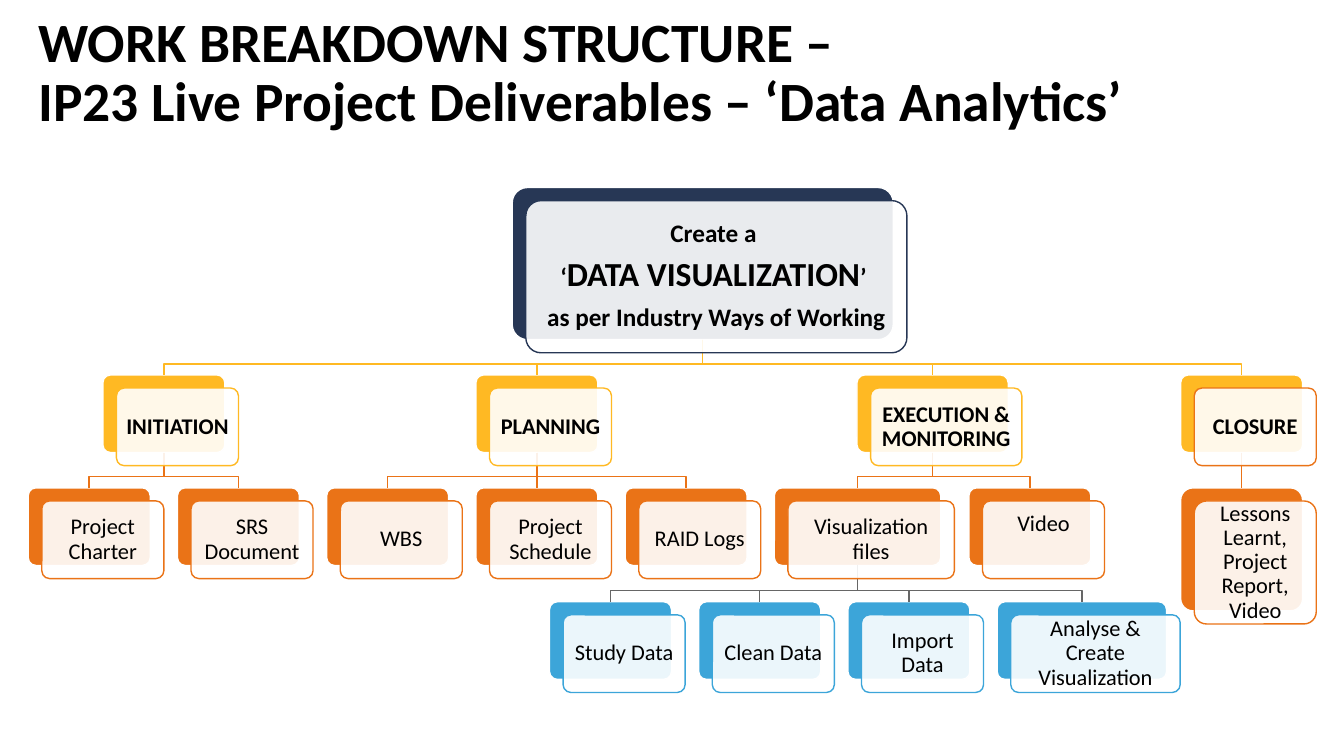
"""Build the work breakdown structure slide for the data analytics project."""
from dataclasses import dataclass

from lxml import etree
from pptx import Presentation
from pptx import util as u
from pptx.dml.color import RGBColor
from pptx.enum import shapes, text
from pptx.oxml import ns

NAVY = RGBColor(0x27, 0x37, 0x55)
AMBER = RGBColor(0xFF, 0xB9, 0x23)
ORANGE = RGBColor(0xEA, 0x73, 0x17)
SKY = RGBColor(0x3C, 0xA5, 0xD9)
GREY = RGBColor(0x66, 0x66, 0x66)
BLACK = RGBColor(0, 0, 0)
WHITE = RGBColor(0xFF, 0xFF, 0xFF)

FONT = "Calibri"
OFFSET_X, OFFSET_Y = 0.135, 0.13
BEND = 0.11


@dataclass(frozen=True)
class Run:
    text: str
    size: int = 16


@dataclass(frozen=True)
class Level:
    top: float
    height: float
    color: RGBColor
    link: RGBColor
    bold: bool


@dataclass(frozen=True)
class Card:
    level: Level
    left: float
    paragraphs: tuple[tuple[Run, ...], ...]
    width: float = 1.21
    height: float | None = None
    outline: RGBColor | None = None
    children: tuple["Card", ...] = ()

    @property
    def center(self) -> float:
        return self.left + self.width / 2

    @property
    def full_height(self) -> float:
        return self.height or self.level.height


GOAL = Level(1.86, 1.51, NAVY, NAVY, True)
PHASE = Level(3.72, 0.77, AMBER, AMBER, True)
DELIVERABLE = Level(4.84, 0.77, ORANGE, ORANGE, False)
TASK = Level(5.97, 0.77, SKY, GREY, False)


def label(words: str) -> tuple[tuple[Run, ...], ...]:
    return ((Run(words),),)


def row(level: Level, left: float, *names: str) -> tuple[Card, ...]:
    return tuple(Card(level, left + 1.48 * i, label(n)) for i, n in enumerate(names))


TASKS = row(TASK, 5.45, "Study Data", "Clean Data", "Import Data") + (
    Card(TASK, 9.89, label("Analyse & Create Visualization"), 1.68),
)
PHASES = (
    Card(PHASE, 1.02, label("INITIATION"),
         children=row(DELIVERABLE, 0.28, "Project Charter", "SRS Document")),
    Card(PHASE, 4.72, label("PLANNING"),
         children=row(DELIVERABLE, 3.24, "WBS", "Project Schedule", "RAID Logs")),
    Card(PHASE, 8.5, label("EXECUTION & MONITORING"), 1.5, children=(
        Card(DELIVERABLE, 7.68, label("Visualization files"), 1.65, children=TASKS),
        Card(DELIVERABLE, 9.61, label("Video\v")),
    )),
    Card(PHASE, 11.71, label("CLOSURE"), outline=ORANGE, children=(
        Card(DELIVERABLE, 11.71, label("Lessons Learnt, Project Report, Video"),
             height=1.22),
    )),
)
ROOT = Card(GOAL, 5.08, (
    (Run("Create a ", 18),),
    (Run("‘", 18), Run("DATA VISUALIZATION", 24), Run("’ ", 18)),
    (Run("as per Industry Ways of Working", 18),),
), 3.78, children=PHASES)


def walk(card: Card) -> list[Card]:
    return [card] + [c for child in card.children for c in walk(child)]


def style_font(font: text.MSO_ANCHOR, size: float, bold: bool) -> None:
    font.name, font.size, font.bold = FONT, u.Pt(size), bold
    font.color.rgb = BLACK


def add_panel(slide, card: Card, dx: float, dy: float, fill: RGBColor, line: RGBColor):
    sp = slide.shapes.add_shape(
        shapes.MSO_SHAPE.ROUNDED_RECTANGLE, u.Inches(card.left + dx),
        u.Inches(card.level.top + dy), u.Inches(card.width), u.Inches(card.full_height))
    sp.adjustments[0] = 0.1
    sp.shadow.inherit = False
    sp.fill.solid()
    sp.fill.fore_color.rgb = fill
    sp.line.color.rgb = line
    sp.line.width = u.Pt(1)
    return sp


def add_front(slide, card: Card) -> None:
    sp = add_panel(slide, card, OFFSET_X, OFFSET_Y, WHITE, card.outline or card.level.color)
    color = sp.fill._xPr.find(".//" + ns.qn("a:srgbClr"))
    etree.SubElement(color, ns.qn("a:alpha"), val="90000")
    tf = sp.text_frame
    tf.word_wrap = True
    tf.vertical_anchor = text.MSO_ANCHOR.MIDDLE
    tf.margin_left = tf.margin_right = tf.margin_top = tf.margin_bottom = u.Inches(0.07)
    for i, runs in enumerate(card.paragraphs):
        p = tf.add_paragraph() if i else tf.paragraphs[0]
        p.alignment = text.PP_ALIGN.CENTER
        p.line_spacing = 0.9
        p.space_after = u.Pt(0.35 * max(run.size for run in runs))
        if len(runs) == 1:
            p.text = runs[0].text
        else:
            for run in runs:
                p.add_run().text = run.text
        for r, run in zip(p.runs, runs):
            style_font(r.font, run.size, card.level.bold)


def add_link(slide, parent: Card, child: Card, parent_sp, child_sp) -> None:
    x1, y1 = u.Inches(parent.center), u.Inches(parent.level.top + parent.full_height)
    x2, y2 = u.Inches(child.center), u.Inches(child.level.top)
    if x1 == x2:
        sp = slide.shapes.add_connector(shapes.MSO_CONNECTOR.STRAIGHT, x1, y1, x2, y2)
        sp.begin_connect(parent_sp, 2)
        sp.end_connect(child_sp, 0)
        etree.SubElement(sp._element.spPr, ns.qn("a:effectLst"))
    else:
        bend = y2 - u.Inches(BEND)
        path_builder = slide.shapes.build_freeform(x1, y1)
        path_builder.add_line_segments([(x1, bend), (x2, bend), (x2, y2)], close=False)
        sp = path_builder.convert_to_shape()
        sp.fill.background()
        sp.shadow.inherit = False
    sp.line.color.rgb = child.level.link
    sp.line.width = u.Pt(1)


def add_title(slide) -> None:
    sp = slide.shapes.title
    sp.left, sp.top = u.Inches(0.28), u.Inches(0.01)
    sp.width, sp.height = u.Inches(11.5), u.Inches(1.45)
    tf = sp.text_frame
    tf.word_wrap = True
    tf.auto_size = text.MSO_AUTO_SIZE.NONE
    tf.vertical_anchor = text.MSO_ANCHOR.MIDDLE
    p = tf.paragraphs[0]
    p.text = ("WORK BREAKDOWN STRUCTURE – \v"
              "IP23 Live Project Deliverables – ‘Data Analytics’")
    p.alignment = text.PP_ALIGN.LEFT
    p.line_spacing = 0.9
    for r in p.runs:
        style_font(r.font, 39.6, True)


def main() -> None:
    prs = Presentation()
    prs.slide_width, prs.slide_height = u.Inches(13.33), u.Inches(7.5)
    slide = prs.slides.add_slide(prs.slide_layouts[5])
    add_title(slide)
    cards = walk(ROOT)
    backs = {c: add_panel(slide, c, 0, 0, c.level.color, WHITE) for c in cards}
    for card in cards:
        for child in card.children:
            add_link(slide, card, child, backs[card], backs[child])
    for card in cards:
        add_front(slide, card)
    prs.save("out.pptx")


if __name__ == "__main__":
    main()
